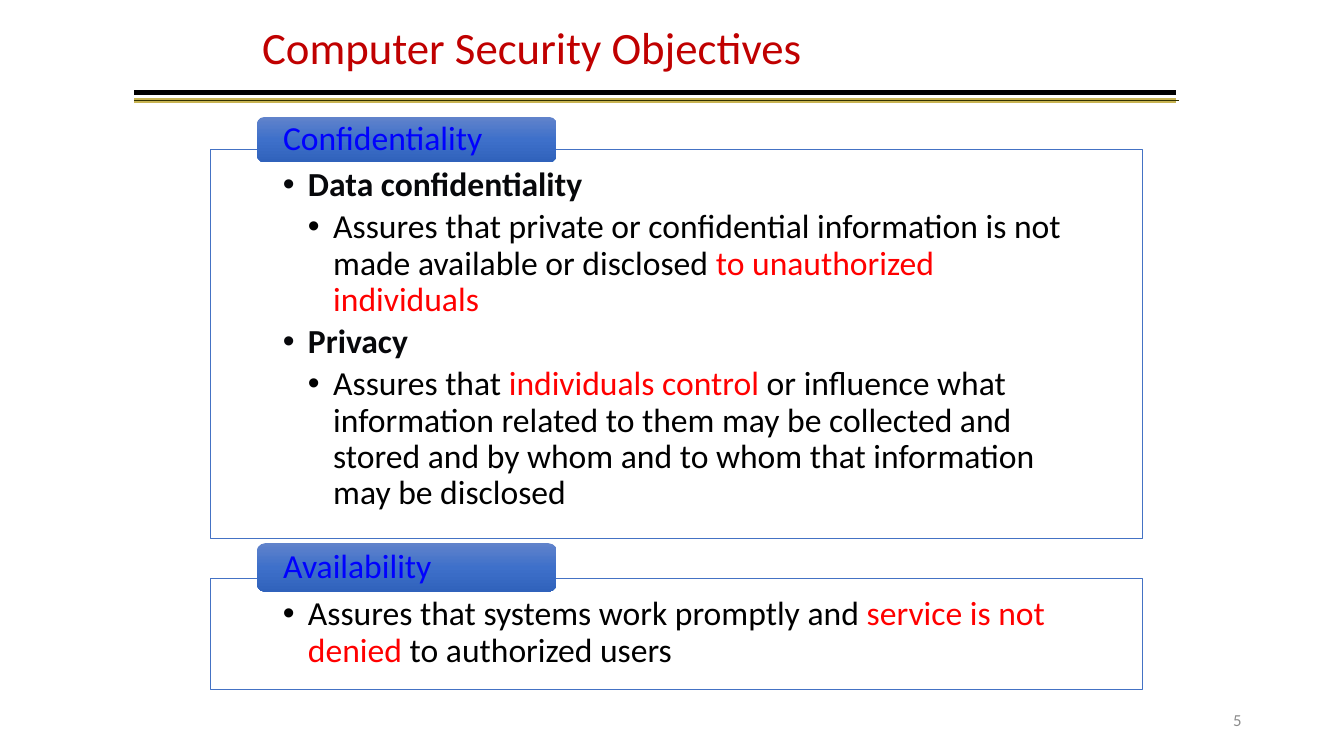
from dataclasses import dataclass

from lxml import etree
from pptx import Presentation, util as u
from pptx.dml import color
from pptx.enum import shapes, text
from pptx.oxml import ns

FONT = "Calibri"
BLACK, RED, INK = "000000", "FF0000", "07080B"


@dataclass
class Rule:
    right: float
    top: float
    hue: str
    width: float


@dataclass
class Piece:
    words: str
    hue: str = BLACK
    bold: bool = False


@dataclass
class Point:
    depth: int
    pieces: list[Piece]


@dataclass
class Panel:
    label: str
    top: float
    height: float
    tab_top: float
    tab_height: float
    points: list[Point]


RULES = [
    Rule(840, 72, "C8B452", 3.5),
    Rule(840, 66, BLACK, 4),
    Rule(842, 72, "333300", 1),
]

PANELS = [
    Panel("Confidentiality", 106.6, 278, 83.5, 32.4, [
        Point(1, [Piece("Data confidentiality", INK, True)]),
        Point(2, [
            Piece("Assures that private or confidential information is not "
                  "made available or disclosed "),
            Piece("to unauthorized individuals", RED),
        ]),
        Point(1, [Piece("Privacy", INK, True)]),
        Point(2, [
            Piece("Assures that "),
            Piece("individuals control ", RED),
            Piece("or influence what information related to them may be "
                  "collected and stored and by whom and to whom that "
                  "information may be disclosed"),
        ]),
    ]),
    Panel("Availability", 413.3, 79.2, 388, 34.6, [
        Point(1, [
            Piece("Assures that systems work promptly and "),
            Piece("service is not denied ", RED),
            Piece("to authorized users"),
        ]),
    ]),
]


def paint(target, hue: str) -> None:
    target.rgb = color.RGBColor.from_string(hue)


def style(run, size: float, hue: str, bold: bool = False) -> None:
    run.font.name = FONT
    run.font.size = u.Pt(size)
    run.font.bold = bold
    paint(run.font.color, hue)


def place(shape, left: float, top: float, width: float, height: float) -> None:
    shape.left, shape.top = u.Pt(left), u.Pt(top)
    shape.width, shape.height = u.Pt(width), u.Pt(height)


def inset(frame, side: float, top: float, base: float) -> None:
    frame.margin_left = frame.margin_right = u.Pt(side)
    frame.margin_top, frame.margin_bottom = u.Pt(top), u.Pt(base)
    frame.word_wrap = True
    frame.auto_size = text.MSO_AUTO_SIZE.NONE


def write(frame, words: str, size: float, hue: str, align) -> None:
    frame.text = words
    frame.vertical_anchor = text.MSO_ANCHOR.MIDDLE
    para = frame.paragraphs[0]
    para.alignment = align
    para.line_spacing = 0.9
    style(para.runs[0], size, hue)


def draw_rule(slide, rule: Rule) -> None:
    line = slide.shapes.add_connector(
        shapes.MSO_CONNECTOR.STRAIGHT,
        u.Pt(96), u.Pt(rule.top), u.Pt(rule.right), u.Pt(rule.top))
    paint(line.line.color, rule.hue)
    line.line.width = u.Pt(rule.width)
    etree.SubElement(line._element.spPr, ns.qn("a:effectLst"))


def add_point(para, point: Point) -> None:
    para.level = point.depth
    props = para._p.get_or_add_pPr()
    props.set("marL", str(u.Pt(18 * point.depth)))
    props.set("indent", str(u.Pt(-18)))
    etree.SubElement(props, ns.qn("a:buFont"), typeface="Arial")
    etree.SubElement(props, ns.qn("a:buChar"), char="•")
    para.alignment = text.PP_ALIGN.LEFT
    para.line_spacing = 0.9
    para.space_before = u.Pt(0)
    para.space_after = u.Pt(4.3)
    for piece in point.pieces:
        run = para.add_run()
        run.text = piece.words
        style(run, 24, piece.hue, piece.bold)


def shade(shape, stops: dict[int, str]) -> None:
    shape.fill.gradient()
    shape.fill.gradient_angle = 270
    ramp = shape._element.spPr.find(".//" + ns.qn("a:gsLst"))
    for stop in list(ramp):
        ramp.remove(stop)
    for spot, hue in stops.items():
        stop = etree.SubElement(ramp, ns.qn("a:gs"), pos=str(spot * 1000))
        etree.SubElement(stop, ns.qn("a:srgbClr"), val=hue)


def draw_panel(slide, body, panel: Panel) -> None:
    place(body, 150, panel.top, 666, panel.height)
    body.fill.solid()
    paint(body.fill.fore_color, "FFFFFF")
    paint(body.line.color, "4472C4")
    body.line.width = u.Pt(0.5)
    frame = body.text_frame
    inset(frame, 52, 13, 13.5)
    frame.vertical_anchor = text.MSO_ANCHOR.TOP
    for rank, point in enumerate(panel.points):
        para = frame.add_paragraph() if rank else frame.paragraphs[0]
        add_point(para, point)

    tab = slide.shapes.add_shape(
        shapes.MSO_SHAPE.ROUNDED_RECTANGLE, u.Pt(183.6), u.Pt(panel.tab_top),
        u.Pt(214), u.Pt(panel.tab_height))
    tab.shadow.inherit = False
    tab.line.fill.background()
    shade(tab, {0: "6183CB", 50: "3E70CA", 100: "3062BB"})
    inset(tab.text_frame, 17, 0, 0)
    write(tab.text_frame, panel.label, 24, "0000FF", text.PP_ALIGN.LEFT)


def main() -> None:
    deck = Presentation()
    deck.slide_width, deck.slide_height = u.Pt(960), u.Pt(540)
    slide = deck.slides.add_slide(deck.slide_layouts[3])
    title, *bodies = slide.placeholders

    place(title, 180, 12, 597, 48)
    inset(title.text_frame, 7.2, 3.6, 3.6)
    write(title.text_frame, "Computer Security Objectives", 32, "C00000",
          text.PP_ALIGN.LEFT)
    for rule in RULES:
        draw_rule(slide, rule)
    for body, panel in zip(bodies, PANELS):
        draw_panel(slide, body, panel)

    page = slide.shapes.add_textbox(
        u.Pt(678), u.Pt(500.5), u.Pt(216), u.Pt(28.8))
    inset(page.text_frame, 7.2, 3.6, 3.6)
    write(page.text_frame, "5", 12, "8C8C8C", text.PP_ALIGN.RIGHT)
    deck.save("out.pptx")


if __name__ == "__main__":
    main()
